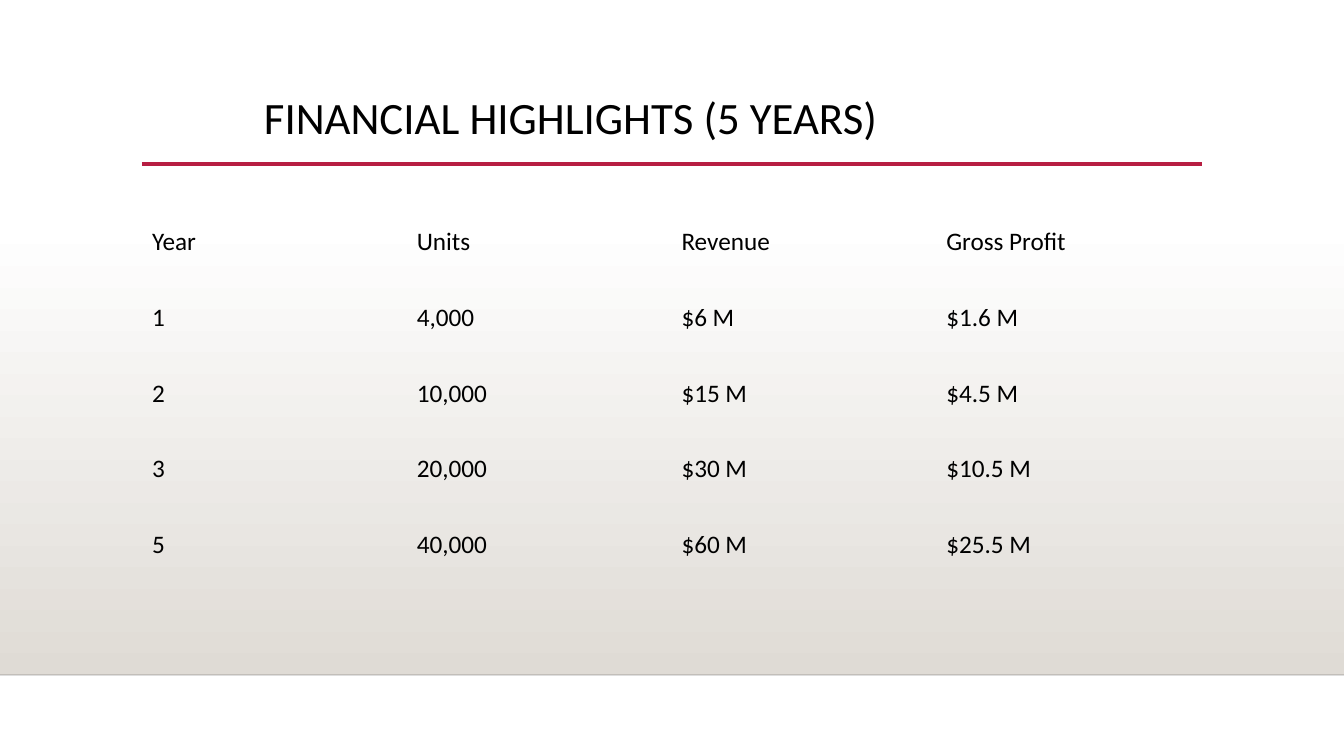
from lxml import etree
from pptx import Presentation
from pptx import util as u
from pptx.dml.color import RGBColor
from pptx.enum import shapes, text
from pptx.oxml.ns import qn

# Content
TITLE = "FINANCIAL HIGHLIGHTS (5 YEARS)"
HIGHLIGHTS = [
    ("Year", "Units", "Revenue", "Gross Profit"),
    ("1", "4,000", "$6 M", "$1.6 M"),
    ("2", "10,000", "$15 M", "$4.5 M"),
    ("3", "20,000", "$30 M", "$10.5 M"),
    ("5", "40,000", "$60 M", "$25.5 M"),
]


class Theme:
    font = "Calibri"
    title_size, cell_size = 32, 18
    ink, paper, floor = "000000", "FFFFFF", "DFDBD5"
    accent, edge = "B71E42", "000001"
    plain_table = "{2D5ABB26-0587-4C30-8999-92F81FD0307C}"


# Layout in px
PAGE_W, PAGE_H = 1344, 756
FLOOR_TOP, FLOOR_BOTTOM = 223, 675
RULE_LEFT, RULE_RIGHT, RULE_Y = 142, 1202, 164
TITLE_BOX = (264, 96, 938, 60)
TABLE_BOX = (142, 204, 1059, 379)


def px(length):
    return u.Emu(round(length * 914400 / 100.8))


def color(code):
    return RGBColor.from_string(code)


def write(frame, words, size, spacing=1.0):
    para = frame.paragraphs[0]
    para.alignment = text.PP_ALIGN.LEFT
    para.line_spacing = spacing
    span = para.add_run()
    span.text = words
    span.font.name = Theme.font
    span.font.size = u.Pt(size)
    span.font.color.rgb = color(Theme.ink)


def add_rule(page, left, right, y, ink, width, alpha=100):
    rule = page.shapes.add_connector(
        shapes.MSO_CONNECTOR.STRAIGHT, px(left), px(y), px(right), px(y))
    rule.line.color.rgb = color(ink)
    rule.line.width = u.Pt(width)
    properties = rule._element.spPr
    if alpha < 100:
        tint = properties.find(".//" + qn("a:srgbClr"))
        etree.SubElement(tint, qn("a:alpha"), val=str(alpha * 1000))
    etree.SubElement(properties, qn("a:effectLst"))


def add_floor(page):
    floor = page.shapes.add_shape(
        shapes.MSO_SHAPE.RECTANGLE, 0, px(FLOOR_TOP),
        px(PAGE_W), px(FLOOR_BOTTOM - FLOOR_TOP))
    floor.shadow.inherit = False
    floor.line.fill.background()
    floor.fill.gradient()
    floor.fill.gradient_angle = 270
    for stop, place, code in zip(floor.fill.gradient_stops, (0, 1),
                                 (Theme.paper, Theme.floor)):
        stop.position = place
        stop.color.rgb = color(code)


def add_title(page):
    box = page.shapes.add_textbox(*map(px, TITLE_BOX))
    frame = box.text_frame
    frame.word_wrap = True
    frame.margin_left = frame.margin_right = 0
    frame.margin_top = frame.margin_bottom = 0
    write(frame, TITLE, Theme.title_size, spacing=0.9)


def add_highlights(page):
    table = page.shapes.add_table(
        len(HIGHLIGHTS), len(HIGHLIGHTS[0]), *map(px, TABLE_BOX)).table
    table.first_row = table.horz_banding = False
    table._tbl.tblPr.find(qn("a:tableStyleId")).text = Theme.plain_table
    for row, values in enumerate(HIGHLIGHTS):
        for column, value in enumerate(values):
            cell = table.cell(row, column)
            cell.fill.background()
            cell.vertical_anchor = text.MSO_ANCHOR.MIDDLE
            write(cell.text_frame, value, Theme.cell_size)


def main():
    deck = Presentation()
    deck.slide_width, deck.slide_height = px(PAGE_W), px(PAGE_H)
    page = deck.slides.add_slide(deck.slide_layouts[6])
    page.background.fill.solid()
    page.background.fill.fore_color.rgb = color(Theme.paper)

    # Backdrop
    add_floor(page)
    add_rule(page, 0, PAGE_W, FLOOR_BOTTOM, Theme.edge, 1, alpha=20)

    # Heading
    add_rule(page, RULE_LEFT, RULE_RIGHT, RULE_Y, Theme.accent, 2.5)
    add_title(page)

    # Figures
    add_highlights(page)
    deck.save("out.pptx")


if __name__ == "__main__":
    main()
